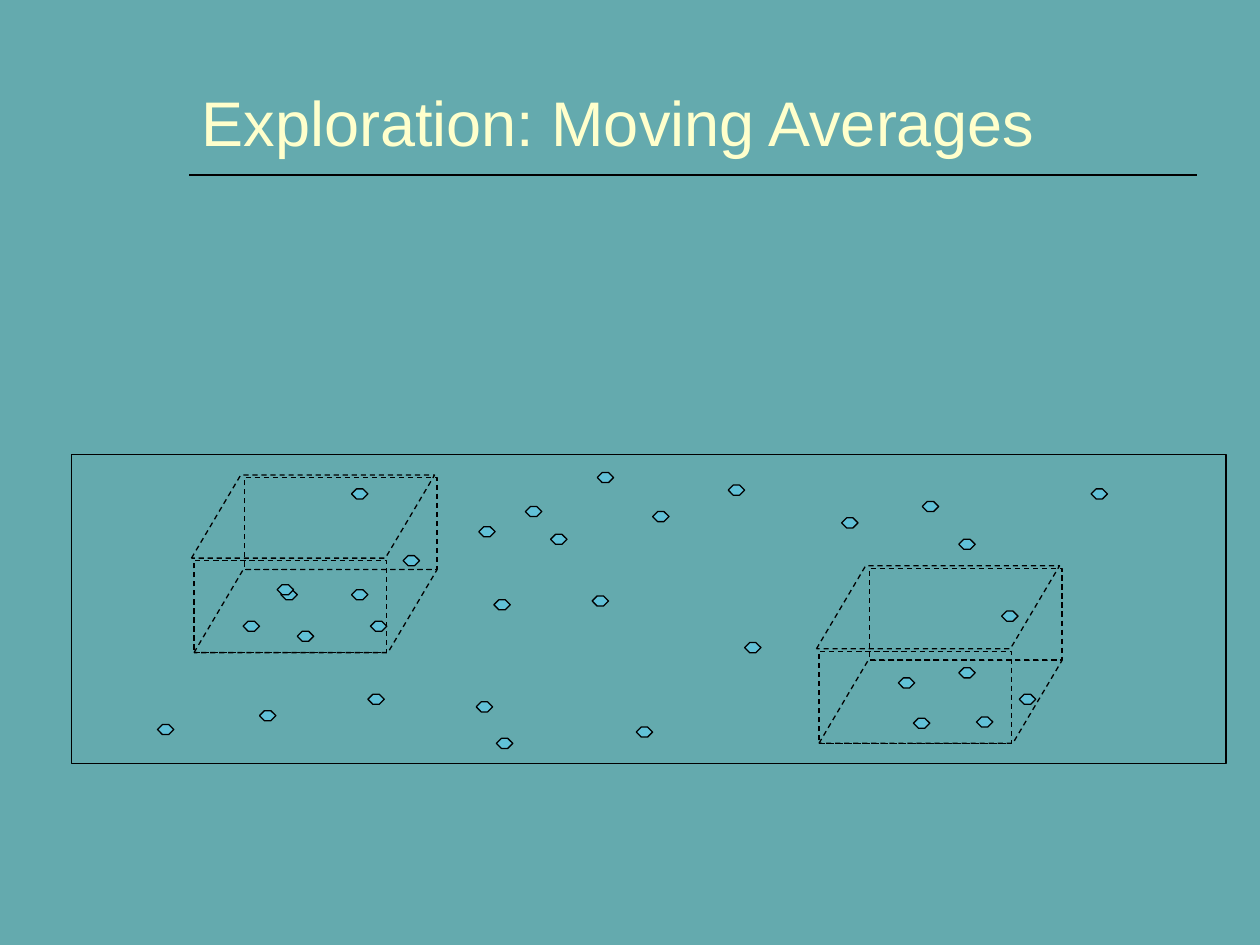
from pptx import Presentation, util as u
from pptx.dml.color import RGBColor
from pptx.enum import dml, shapes, text
from pptx.oxml.ns import qn
from lxml import etree

DOTS = [
    (3.92, 4.76), (7.25, 5.7), (7.13, 5.38), (3.8, 4.18), (7.61, 4.28),
    (1.93, 4.93), (2.36, 5.01), (4.37, 4.24), (7.32, 3.98), (2.79, 3.88),
    (7.95, 4.85), (8.66, 3.88), (7.61, 5.3), (6.68, 4.11), (3.78, 5.57),
    (2.06, 5.64), (1.25, 5.75), (7.75, 5.69), (2.23, 4.68), (4.74, 3.75),
    (4.7, 4.73), (5.78, 3.85), (2.2, 4.64), (5.05, 5.77), (5.91, 5.1),
    (8.09, 5.51), (3.2, 4.41), (4.17, 4.02), (2.92, 5.51), (2.94, 4.93),
    (2.79, 4.68), (3.94, 5.86), (5.18, 4.06),
]
BOXES = [(1.52, 3.77), (6.48, 4.49)]
KIND = shapes.MSO_SHAPE


def color(code):
    return RGBColor.from_string(code)


def write(frame, words, font="Arial", size=36, ink="FFFFCC",
          align=text.PP_ALIGN.LEFT, anchor=text.MSO_ANCHOR.BOTTOM):
    frame.word_wrap = True
    frame.auto_size = text.MSO_AUTO_SIZE.NONE
    frame.vertical_anchor = anchor
    para = frame.paragraphs[0]
    para.alignment = align
    run = para.add_run()
    run.text = words
    run.font.name = font
    run.font.size = u.Pt(size)
    run.font.color.rgb = color(ink)


class Deck:
    """Hold the style and the current slide, and draw each kind of element."""

    ink = "000000"
    back = "64AAAE"
    dots = "61C1D7"
    thin = 0.75

    def __init__(self, show):
        self.slide = show.slides.add_slide(show.slide_layouts[5])
        fill = self.slide.background.fill
        fill.solid()
        fill.fore_color.rgb = color(self.back)

    def title(self, words, x, y, w, h):
        head = self.slide.shapes.title
        head.left, head.top = u.Inches(x), u.Inches(y)
        head.width, head.height = u.Inches(w), u.Inches(h)
        write(head.text_frame, words)

    def rule(self, x, y, end):
        line = self.slide.shapes.add_connector(
            shapes.MSO_CONNECTOR.STRAIGHT,
            u.Inches(x), u.Inches(y), u.Inches(end), u.Inches(y))
        line.line.color.rgb = color(self.ink)
        line.line.width = u.Pt(1)
        etree.SubElement(line._element.spPr, qn("a:effectLst"))

    def shape(self, kind, x, y, w, h, fill=None, dash=False, adj=None, home=None):
        item = (home or self.slide).shapes.add_shape(
            kind, u.Inches(x), u.Inches(y), u.Inches(w), u.Inches(h))
        item.shadow.inherit = False
        if fill:
            item.fill.solid()
            item.fill.fore_color.rgb = color(fill)
        else:
            item.fill.background()
        item.line.color.rgb = color(self.ink)
        item.line.width = u.Pt(self.thin)
        if dash:
            item.line.dash_style = dml.MSO_LINE.DASH
        if adj is not None:
            item.adjustments[0] = adj

    def dot(self, x, y):
        self.shape(KIND.OCTAGON, x, y, 0.13, 0.08, fill=self.dots, adj=0.5)

    def box(self, x, y):
        group = self.slide.shapes.add_group_shape()
        front, rear = (0.02, 0.68), (0.42, 0.02)
        top, base = (0, 0), (0.02, 0.75)
        rect = (KIND.RECTANGLE, 1.53, 0.73, None)
        slant = (KIND.PARALLELOGRAM, 1.93, 0.66, 0.593)
        sides = [(front, rect), (top, slant), (base, slant), (rear, rect)]
        for (dx, dy), (kind, w, h, adj) in sides:
            self.shape(kind, x + dx, y + dy, w, h, dash=True, adj=adj, home=group)


def main():
    show = Presentation()
    show.slide_width, show.slide_height = u.Inches(10), u.Inches(7.5)
    deck = Deck(show)
    deck.rule(1.5, 1.39, 9.5)
    deck.title("Exploration: Moving Averages", 1.5, 0.06, 8, 1.25)
    deck.shape(KIND.RECTANGLE, 0.57, 3.61, 9.16, 2.45)
    for spot in DOTS:
        deck.dot(*spot)
    for spot in BOXES:
        deck.box(*spot)
    show.save("out.pptx")


if __name__ == "__main__":
    main()
